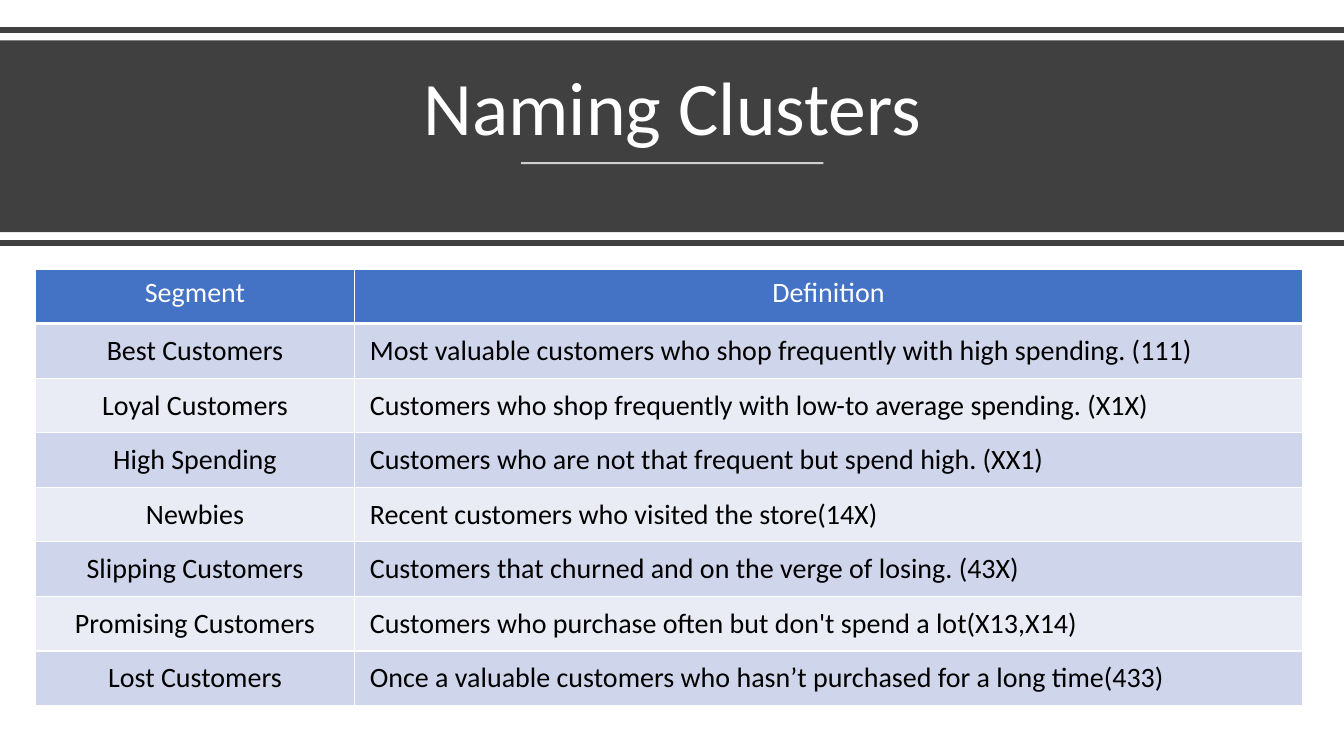
from dataclasses import dataclass

from lxml.etree import SubElement as Sub
from pptx import Presentation
from pptx.dml.color import RGBColor as Rgb
from pptx.enum.shapes import MSO_CONNECTOR as Link, MSO_SHAPE as Shape
from pptx.enum.text import MSO_ANCHOR as Anchor, PP_ALIGN as Align
from pptx.oxml.ns import qn
from pptx.util import Cm, Pt

HUES = {
    "dark": "404040",
    "white": "FFFFFF",
    "black": "000000",
    "head": "4472C4",
    "odd": "CFD5EA",
    "even": "E9EBF5",
}
WIDE, HIGH = 33.87, 19.05


@dataclass
class Rule:
    left: float
    right: float
    top: float
    hue: str
    size: float
    alpha: int = 100


@dataclass
class Group:
    name: str
    sense: str


RULES = [
    Rule(0, WIDE, 0.76, "dark", 4),
    Rule(13.13, 20.75, 4.11, "white", 1.5, 75),
    Rule(0, WIDE, 6.12, "dark", 4),
]
GROUPS = [
    Group("Segment", "Definition"),
    Group("Best Customers", "Most valuable customers who shop frequently with high spending. (111)"),
    Group("Loyal Customers", "Customers who shop frequently with low-to average spending. (X1X)"),
    Group("High Spending", "Customers who are not that frequent but spend high. (XX1)"),
    Group("Newbies", "Recent customers who visited the store(14X)"),
    Group("Slipping Customers", "Customers that churned and on the verge of losing. (43X)"),
    Group("Promising Customers", "Customers who purchase often but don't spend a lot(X13,X14)"),
    Group("Lost Customers", "Once a valuable customers who hasn’t purchased for a long time(433)"),
]


def tint(hue: str) -> Rgb:
    return Rgb.from_string(HUES[hue])


def write(frame, text: str, *, size: float = 20, hue: str = "black",
          align=Align.CENTER, space: float = 1) -> None:
    frame.word_wrap = True
    para = frame.paragraphs[0]
    para.alignment = align
    para.line_spacing = space
    run = para.add_run()
    run.text = text
    font = run.font
    font.name, font.size, font.bold = "Calibri", Pt(size), False
    font.color.rgb = tint(hue)


def draw_rule(slide, rule: Rule) -> None:
    line = slide.shapes.add_connector(
        Link.STRAIGHT, Cm(rule.left), Cm(rule.top), Cm(rule.right), Cm(rule.top))
    line.line.color.rgb = tint(rule.hue)
    line.line.width = Pt(rule.size)
    props = line._element.spPr
    if rule.alpha < 100:
        color = props.find(".//" + qn("a:srgbClr"))
        Sub(color, qn("a:alpha"), val=str(rule.alpha * 1000))
    Sub(props, qn("a:effectLst"))


def draw_band(slide) -> None:
    band = slide.shapes.add_shape(Shape.RECTANGLE, 0, Cm(1.02), Cm(WIDE), Cm(4.83))
    band.shadow.inherit = False
    band.fill.solid()
    band.fill.fore_color.rgb = tint("dark")
    band.line.fill.background()


def draw_title(slide) -> None:
    box = slide.shapes.add_textbox(Cm(1.48), Cm(1.37), Cm(30.94), Cm(2.59))
    box.text_frame.vertical_anchor = Anchor.BOTTOM
    write(box.text_frame, "Naming Clusters", size=54, hue="white", space=0.9)


def style_cell(cell, fill: str, base: float) -> None:
    cell.margin_left = cell.margin_right = Cm(0.38)
    cell.margin_top = cell.margin_bottom = Cm(0.18)
    props = cell._tc.get_or_add_tcPr()
    for side, size in (("L", 1), ("R", 1), ("T", 1), ("B", base)):
        edge = Sub(props, qn("a:ln" + side), w=str(Pt(size)))
        Sub(Sub(edge, qn("a:solidFill")), qn("a:srgbClr"), val=HUES["white"])
    cell.fill.solid()
    cell.fill.fore_color.rgb = tint(fill)


def draw_table(slide, groups: list[Group]) -> None:
    grid = slide.shapes.add_table(
        len(groups), 2, Cm(0.89), Cm(6.78), Cm(31.93), Cm(11)).table
    for col, width in zip(grid.columns, (8.05, 23.88)):
        col.width = Cm(width)
    for row, group in enumerate(groups):
        head = row == 0
        fill = "head" if head else ("even", "odd")[row % 2]
        for col, text in enumerate((group.name, group.sense)):
            cell = grid.cell(row, col)
            style_cell(cell, fill, 3 if head else 1)
            cell.vertical_anchor = Anchor.TOP if head else Anchor.MIDDLE
            write(cell.text_frame, text, hue="white" if head else "black",
                  align=Align.CENTER if head or col == 0 else Align.LEFT)


def main() -> None:
    deck = Presentation()
    deck.slide_width, deck.slide_height = Cm(WIDE), Cm(HIGH)
    slide = deck.slides.add_slide(deck.slide_layouts[6])
    draw_band(slide)
    draw_title(slide)
    for rule in RULES:
        draw_rule(slide, rule)
    draw_table(slide, GROUPS)
    deck.save("out.pptx")


if __name__ == "__main__":
    main()
